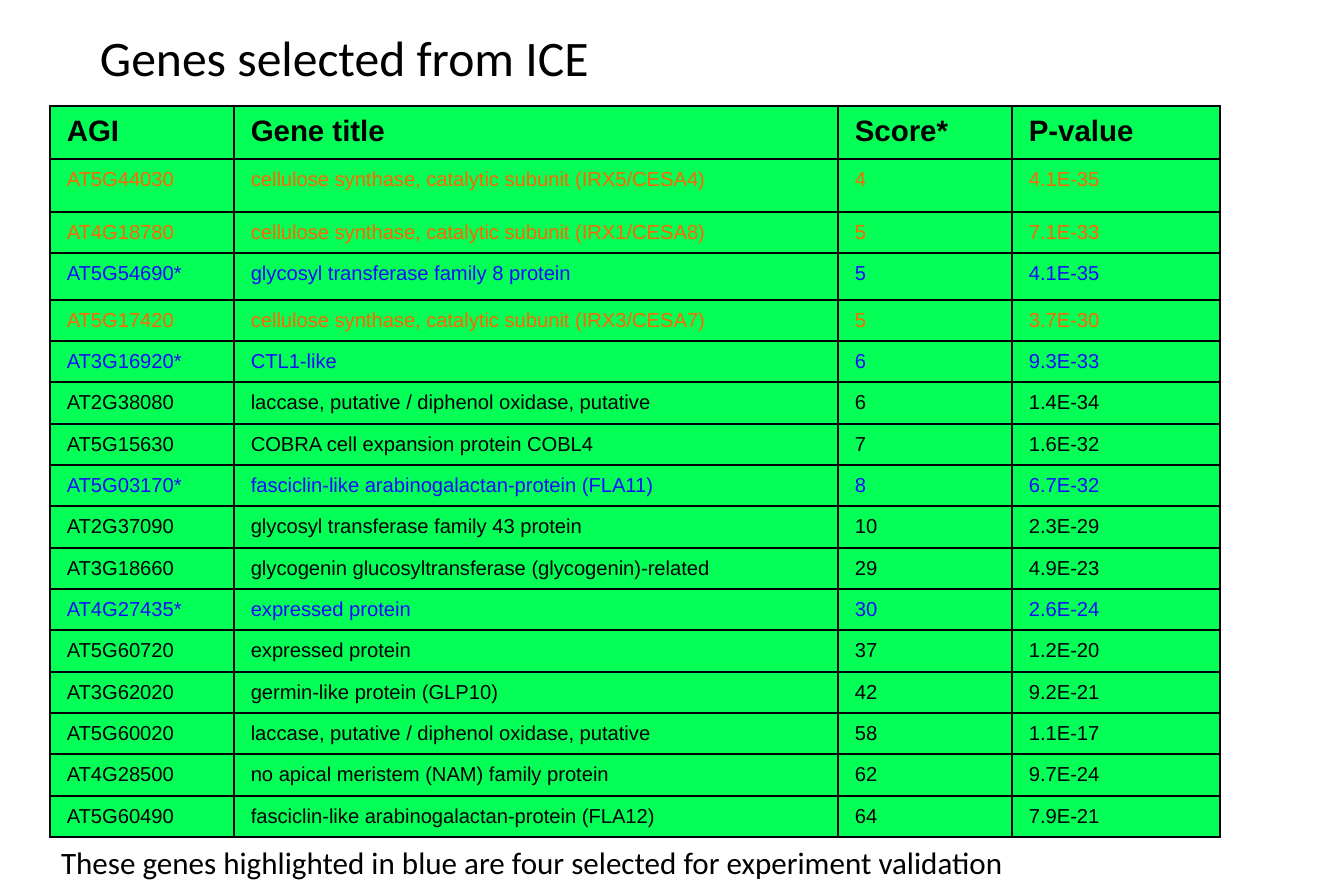
"""Build the slide that lists the genes selected from ICE."""
from dataclasses import dataclass
from typing import Any

from lxml import etree
from pptx import Presentation
from pptx import util as u
from pptx.dml.color import RGBColor
from pptx.enum import text
from pptx.oxml import ns

SCALE = 914400 / 111.7
BLACK = RGBColor(0x00, 0x00, 0x00)
GREEN = RGBColor(0x04, 0xFF, 0x56)
ORANGE = RGBColor(0xFF, 0x66, 0x00)
BLUE = RGBColor(0x14, 0x0D, 0xFB)

COLUMN_WIDTHS = [184, 604, 174, 208]
ROW_HEIGHTS = [53, 53, 41, 47] + [41, 41, 42] * 4 + [41]
HEADINGS = ("AGI", "Gene title", "Score*", "P-value")
GENES = [
    ("AT5G44030", "cellulose synthase, catalytic subunit (IRX5/CESA4)", "4", "4.1E-35"),
    ("AT4G18780", "cellulose synthase, catalytic subunit (IRX1/CESA8)", "5", "7.1E-33"),
    ("AT5G54690*", "glycosyl transferase family 8 protein", "5", "4.1E-35"),
    ("AT5G17420", "cellulose synthase, catalytic subunit (IRX3/CESA7)", "5", "3.7E-30"),
    ("AT3G16920*", "CTL1-like", "6", "9.3E-33"),
    ("AT2G38080", "laccase, putative / diphenol oxidase, putative", "6", "1.4E-34"),
    ("AT5G15630", "COBRA cell expansion protein COBL4", "7", "1.6E-32"),
    ("AT5G03170*", "fasciclin-like arabinogalactan-protein (FLA11)", "8", "6.7E-32"),
    ("AT2G37090", "glycosyl transferase family 43 protein", "10", "2.3E-29"),
    ("AT3G18660", "glycogenin glucosyltransferase (glycogenin)-related", "29", "4.9E-23"),
    ("AT4G27435*", "expressed protein", "30", "2.6E-24"),
    ("AT5G60720", "expressed protein", "37", "1.2E-20"),
    ("AT3G62020", "germin-like protein (GLP10)", "42", "9.2E-21"),
    ("AT5G60020", "laccase, putative / diphenol oxidase, putative", "58", "1.1E-17"),
    ("AT4G28500", "no apical meristem (NAM) family protein", "62", "9.7E-24"),
    ("AT5G60490", "fasciclin-like arabinogalactan-protein (FLA12)", "64", "7.9E-21"),
]


def px(length):
    return u.Emu(round(length * SCALE))


def set_values(target, values):
    for name, value in values.items():
        setattr(target, name, value)


def gene_color(gene):
    if gene[0].endswith("*"):
        return BLUE
    return ORANGE if gene[1].startswith("cellulose synthase") else BLACK


@dataclass
class GeneSlide:
    slide: Any
    text_font: str = "Calibri"
    table_font: str = "Arial"
    border_width: int = 1

    def add_words(self, paragraph, words, color, **font_values):
        run = paragraph.add_run()
        run.text = words
        set_values(run.font, font_values)
        run.font.color.rgb = color

    def text_box(self, words, left, top, width, height, size):
        shape = self.slide.shapes.add_textbox(*map(px, (left, top, width, height)))
        set_values(shape.text_frame, {
            "word_wrap": False,
            "auto_size": text.MSO_AUTO_SIZE.SHAPE_TO_FIT_TEXT,
        })
        self.add_words(shape.text_frame.paragraphs[0], words, BLACK,
                       name=self.text_font, size=u.Pt(size))

    def borders(self, cell):
        properties = cell._tc.get_or_add_tcPr()
        for side in ("a:lnL", "a:lnR", "a:lnT", "a:lnB"):
            line = etree.SubElement(properties, ns.qn(side), w=str(u.Pt(self.border_width)))
            fill = etree.SubElement(line, ns.qn("a:solidFill"))
            etree.SubElement(fill, ns.qn("a:srgbClr"), val=str(BLACK))

    def cell(self, cell, words, color, size, bold):
        self.borders(cell)
        cell.fill.solid()
        cell.fill.fore_color.rgb = GREEN
        set_values(cell, {
            "margin_left": u.Inches(0.15), "margin_right": u.Inches(0.15),
            "margin_top": u.Inches(0.08), "margin_bottom": u.Inches(0.08),
        })
        paragraph = cell.text_frame.paragraphs[0]
        paragraph.alignment = text.PP_ALIGN.JUSTIFY
        self.add_words(paragraph, words, color,
                       name=self.table_font, size=u.Pt(size), bold=bold)

    def table(self, left, top, headings, genes):
        rows = [headings, *genes]
        table = self.slide.shapes.add_table(
            len(rows), len(headings), px(left), px(top),
            px(sum(COLUMN_WIDTHS)), px(sum(ROW_HEIGHTS))).table
        set_values(table, {"first_row": False, "horz_banding": False})
        for column, width in zip(table.columns, COLUMN_WIDTHS):
            column.width = px(width)
        for index, (row, height, values) in enumerate(zip(table.rows, ROW_HEIGHTS, rows)):
            row.height = px(height)
            heading = index == 0
            color = BLACK if heading else gene_color(values)
            for cell, words in zip(row.cells, values):
                self.cell(cell, words, color, 19 if heading else 13, heading)


def main():
    presentation = Presentation()
    set_values(presentation, {"slide_width": u.Inches(12.03), "slide_height": u.Inches(8)})
    gene_slide = GeneSlide(presentation.slides.add_slide(presentation.slide_layouts[6]))
    gene_slide.table(50, 106, HEADINGS, GENES)
    gene_slide.text_box(
        "These genes highlighted in blue are four selected for experiment validation",
        50, 838, 981, 49, 20)
    gene_slide.text_box("Genes selected from ICE", 89, 21, 527, 71, 32)
    presentation.save("out.pptx")


if __name__ == "__main__":
    main()
